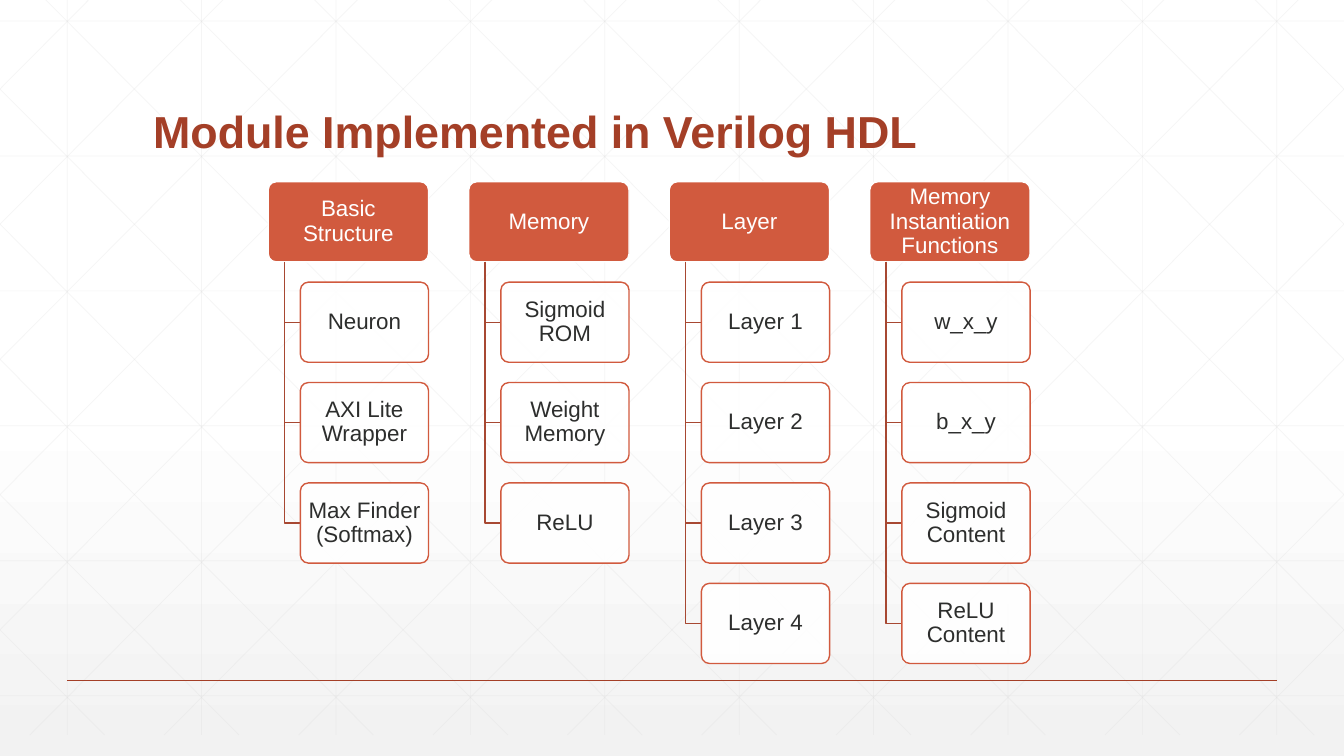
from lxml import etree
from pptx import Presentation
from pptx import util as u
from pptx.dml.color import RGBColor
from pptx.enum import shapes, text
from pptx.oxml.ns import qn

WIDTH, HEIGHT = 33.87, 19.05
RUST, DARK_RUST, TRUNK = "D15A3E", "A43F27", "A74832"
WHITE, INK, GRID = "FFFFFF", "2D2E2D", "D9D9D9"
MODULES = {
    "Basic Structure": ["Neuron", "AXI Lite Wrapper", "Max Finder (Softmax)"],
    "Memory": ["Sigmoid ROM", "Weight Memory", "ReLU"],
    "Layer": ["Layer 1", "Layer 2", "Layer 3", "Layer 4"],
    "Memory Instantiation Functions": ["w_x_y", "b_x_y", "Sigmoid Content", "ReLU Content"],
}


def color(value):
    return RGBColor.from_string(value)


def set_opacity(fill_parent, percent):
    tint = fill_parent.find(qn("a:solidFill")).find(qn("a:srgbClr"))
    etree.SubElement(tint, qn("a:alpha"), val=str(percent * 1000))


def add_line(slide, start, end, value, points, opacity=100):
    ends = [u.Cm(length) for length in (*start, *end)]
    connector = slide.shapes.add_connector(shapes.MSO_CONNECTOR.STRAIGHT, *ends)
    connector.line.color.rgb = color(value)
    connector.line.width = u.Pt(points)
    properties = connector.element.spPr
    etree.SubElement(properties, qn("a:effectLst"))
    if opacity < 100:
        set_opacity(properties.find(qn("a:ln")), opacity)


def style_text(frame, wording, size, value, bold=False):
    frame.word_wrap = True
    paragraph = frame.paragraphs[0]
    paragraph.text = wording
    paragraph.line_spacing = 0.9
    paragraph.font.name = "Arial"
    paragraph.font.size = u.Pt(size)
    paragraph.font.bold = bold
    paragraph.font.color.rgb = color(value)
    return paragraph


def draw_background(slide):
    fill = slide.background.fill
    fill.gradient()
    fill.gradient_angle = 270
    for stop, position, value in zip(fill.gradient_stops, (0.53, 1), (WHITE, "F2F2F2")):
        stop.position = position
        stop.color.rgb = color(value)


def draw_grid(slide, top, height):
    bottom, step, run = top + height, WIDTH / 10, 18.94
    slope = height / run
    segments = [((step * (i + 0.5), top), (step * (i + 0.5), bottom)) for i in range(10)]
    segments += [((0, 0.53 + 3.4 * i), (WIDTH, 0.53 + 3.4 * i)) for i in range(6)]
    for i in range(-5, 10):
        origin = 0.63 + step * i
        left, right = max(origin, 0), min(origin + run, WIDTH)
        start_y, end_y = (top + (x - origin) * slope for x in (left, right))
        segments.append(((left, start_y), (right, end_y)))
        segments.append(((WIDTH - left, start_y), (WIDTH - right, end_y)))
    for start, end in segments:
        add_line(slide, start, end, GRID, 0.5, 25)


def draw_title(slide, left, top, width, height):
    box = slide.shapes.add_textbox(u.Cm(left), u.Cm(top), u.Cm(width), u.Cm(height))
    box.text_frame.vertical_anchor = text.MSO_ANCHOR.BOTTOM
    style_text(box.text_frame, "Module Implemented in Verilog HDL", 32, DARK_RUST, True)


def draw_card(slide, wording, left, top, width, height, fill, line, ink):
    card = slide.shapes.add_shape(
        shapes.MSO_SHAPE.ROUNDED_RECTANGLE, u.Cm(left), u.Cm(top), u.Cm(width), u.Cm(height))
    card.adjustments[0] = 0.1
    card.shadow.inherit = False
    card.fill.solid()
    card.fill.fore_color.rgb = color(fill)
    card.line.color.rgb = color(line)
    card.line.width = u.Pt(1)
    frame = card.text_frame
    frame.margin_left = frame.margin_right = u.Cm(0.14)
    frame.margin_top = frame.margin_bottom = u.Cm(0.1)
    frame.vertical_anchor = text.MSO_ANCHOR.MIDDLE
    style_text(frame, wording, 16, ink).alignment = text.PP_ALIGN.CENTER
    return card


def draw_branch(slide, left, top, width, height):
    x, y = u.Cm(left), u.Cm(top)
    builder = slide.shapes.build_freeform(x, y)
    elbow = y + u.Cm(height)
    builder.add_line_segments([(x, elbow), (x + u.Cm(width), elbow)], close=False)
    branch = builder.convert_to_shape()
    branch.shadow.inherit = False
    branch.fill.background()
    branch.line.color.rgb = color(TRUNK)
    branch.line.width = u.Pt(1)


def draw_module(slide, heading, parts, left, top, width):
    height, row_step, indent = 2.02, 2.53, 0.81
    draw_card(slide, heading, left, top, width, height, RUST, WHITE, WHITE)
    for row, part in enumerate(parts, 1):
        offset = row * row_step
        draw_branch(slide, left + indent / 2, top + height, indent / 2, offset - height / 2)
        card = draw_card(slide, part, left + indent, top + offset, width - indent, height,
                         WHITE, RUST, INK)
        set_opacity(card.element.spPr, 90)


def draw_modules(slide, left, top, width):
    column_width = 4.04
    step = (width - column_width) / (len(MODULES) - 1)
    for column, (heading, parts) in enumerate(MODULES.items()):
        draw_module(slide, heading, parts, left + column * step, top, column_width)


def main():
    presentation = Presentation()
    presentation.slide_width = u.Cm(WIDTH)
    presentation.slide_height = u.Cm(HEIGHT)
    slide = presentation.slides.add_slide(presentation.slide_layouts[6])
    draw_background(slide)
    draw_grid(slide, -0.53, HEIGHT)
    add_line(slide, (1.69, 17.15), (WIDTH - 1.69, 17.15), DARK_RUST, 1)
    draw_title(slide, 3.61, 1.4, 26.67, 2.72)
    draw_modules(slide, 6.76, 4.58, 19.2)
    presentation.save("out.pptx")


if __name__ == "__main__":
    main()
